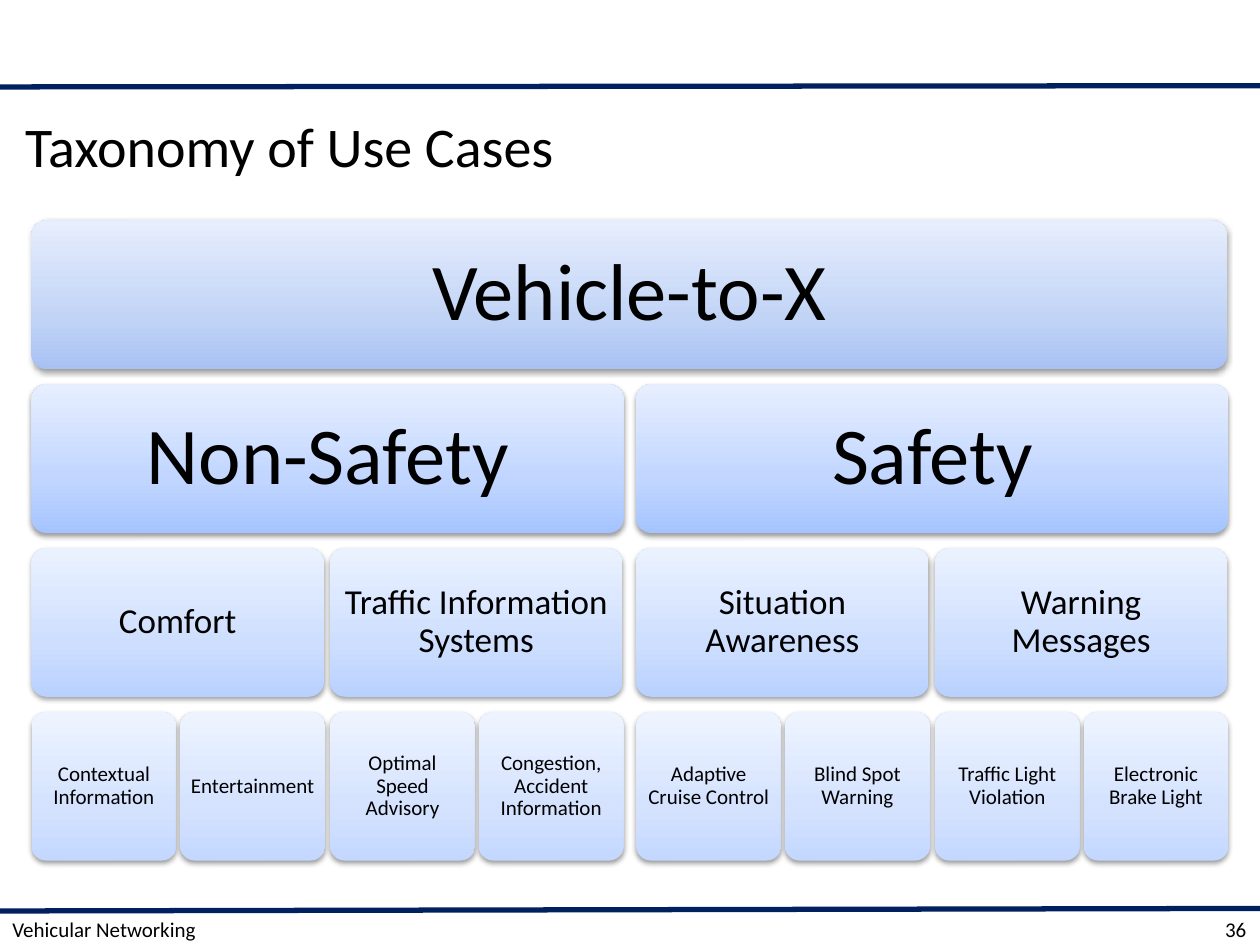
from dataclasses import dataclass

from lxml.etree import SubElement
from pptx import Presentation
from pptx.dml.color import RGBColor
from pptx.enum.shapes import MSO_CONNECTOR, MSO_SHAPE
from pptx.enum.text import MSO_ANCHOR, PP_ALIGN
from pptx.oxml.ns import qn
from pptx.util import Inches, Pt


@dataclass(frozen=True)
class Theme:
    """Colours and type sizes of the slide."""
    font: str = "Calibri"
    ink: str = "000000"
    rule: str = "002060"
    title: int = 32
    foot: int = 12


@dataclass(frozen=True)
class Level:
    """Look of one row of the tree, with the step between its siblings."""
    top: float
    width: float
    step: float
    size: int
    inset: float
    shades: tuple


THEME = Theme()
LEVELS = (
    Level(1.75, 9.49, 0, 46, 0.19, ("A8C2F4", "C2D4F6", "E7EEFD")),
    Level(3.05, 4.7, 4.8, 46, 0.19, ("A5C4FF", "C0D5FF", "E7EFFF")),
    Level(4.35, 2.32, 2.37, 20, 0.08, ("B9D1FF", "CDDEFE", "EBF2FF")),
    Level(5.65, 1.15, 1.18, 12, 0.05, ("C3D7FF", "D4E2FE", "EEF4FF")),
)
TREE = ("Vehicle-to-X", [
    ("Non-Safety", [
        ("Comfort", [("Contextual Information", []), ("Entertainment", [])]),
        ("Traffic Information Systems", [
            ("Optimal Speed Advisory", []),
            ("Congestion, Accident Information", []),
        ]),
    ]),
    ("Safety", [
        ("Situation Awareness", [
            ("Adaptive Cruise Control", []),
            ("Blind Spot Warning", []),
        ]),
        ("Warning Messages", [
            ("Traffic Light Violation", []),
            ("Electronic Brake Light", []),
        ]),
    ]),
])


def write(shape, text, size, align, inset):
    """Put one run of text in a shape, with (side, top) insets."""
    frame = shape.text_frame
    frame.word_wrap = True
    frame.vertical_anchor = MSO_ANCHOR.MIDDLE
    frame.margin_left = frame.margin_right = Inches(inset[0])
    frame.margin_top = frame.margin_bottom = Inches(inset[1])
    para = frame.paragraphs[0]
    para.alignment = align
    run = para.add_run()
    run.text = text
    run.font.name = THEME.font
    run.font.size = Pt(size)
    run.font.color.rgb = RGBColor.from_string(THEME.ink)
    return para


def add_rule(slide, start, end):
    """Draw a slightly sloped line across the slide."""
    line = slide.shapes.add_connector(
        MSO_CONNECTOR.STRAIGHT, 0, Inches(start), Inches(10), Inches(end))
    line.line.color.rgb = RGBColor.from_string(THEME.rule)
    line.line.width = Pt(3)
    SubElement(line._element.spPr, qn("a:effectLst"))


def add_title(slide, text):
    """Place and fill the title placeholder."""
    title = slide.shapes.title
    title.left, title.top = 0, Inches(0.75)
    title.width, title.height = Inches(10), Inches(0.8)
    write(title, text, THEME.title, PP_ALIGN.LEFT, (0.2, 0.05))


def add_foot(slide, text, left, width, align):
    """Add a text box on the footer line."""
    box = slide.shapes.add_textbox(
        Inches(left), Inches(7.25), Inches(width), Inches(0.25))
    write(box, text, THEME.foot, align, (0.1, 0.05))


def shade(shape, shades):
    """Fill a shape with a gradient that rises from the bottom."""
    shape.fill.gradient()
    shape.fill.gradient_angle = 90
    stops = shape._element.spPr.find(".//" + qn("a:gsLst"))
    stops.clear()
    for place, tint in zip((0, 35, 100), shades):
        stop = SubElement(stops, qn("a:gs"), pos=str(place * 1000))
        SubElement(stop, qn("a:srgbClr"), val=tint)


def cast(shape):
    """Give a shape a soft shadow below it."""
    shape.shadow.inherit = False
    effects = shape._element.spPr.find(qn("a:effectLst"))
    shadow = SubElement(
        effects, qn("a:outerShdw"), blurRad=str(Pt(3.1)), dist=str(Pt(1.6)),
        dir="5400000", rotWithShape="0")
    tint = SubElement(shadow, qn("a:srgbClr"), val=THEME.ink)
    SubElement(tint, qn("a:alpha"), val="38000")


def add_node(slide, node, left, depth=0):
    """Draw a node of the tree, then its children in the row below."""
    text, kids = node
    level = LEVELS[depth]
    box = slide.shapes.add_shape(
        MSO_SHAPE.ROUNDED_RECTANGLE, Inches(left), Inches(level.top),
        Inches(level.width), Inches(1.18))
    box.adjustments[0] = 0.1
    shade(box, level.shades)
    box.line.fill.background()
    cast(box)
    para = write(box, text, level.size, PP_ALIGN.CENTER,
                 (level.inset, level.inset))
    para.line_spacing = 0.9
    for i, kid in enumerate(kids):
        add_node(slide, kid, left + i * LEVELS[depth + 1].step, depth + 1)


def main():
    """Build and save the slide."""
    deck = Presentation()
    deck.slide_width, deck.slide_height = Inches(10), Inches(7.5)
    slide = deck.slides.add_slide(deck.slide_layouts[5])
    add_rule(slide, 7.23, 7.21)
    add_rule(slide, 0.69, 0.68)
    add_title(slide, "Taxonomy of Use Cases")
    add_foot(slide, "Vehicular Networking", 0, 10, PP_ALIGN.LEFT)
    add_foot(slide, "36", 8.83, 1.16, PP_ALIGN.RIGHT)
    add_node(slide, TREE, 0.25)
    deck.save("out.pptx")


if __name__ == "__main__":
    main()
